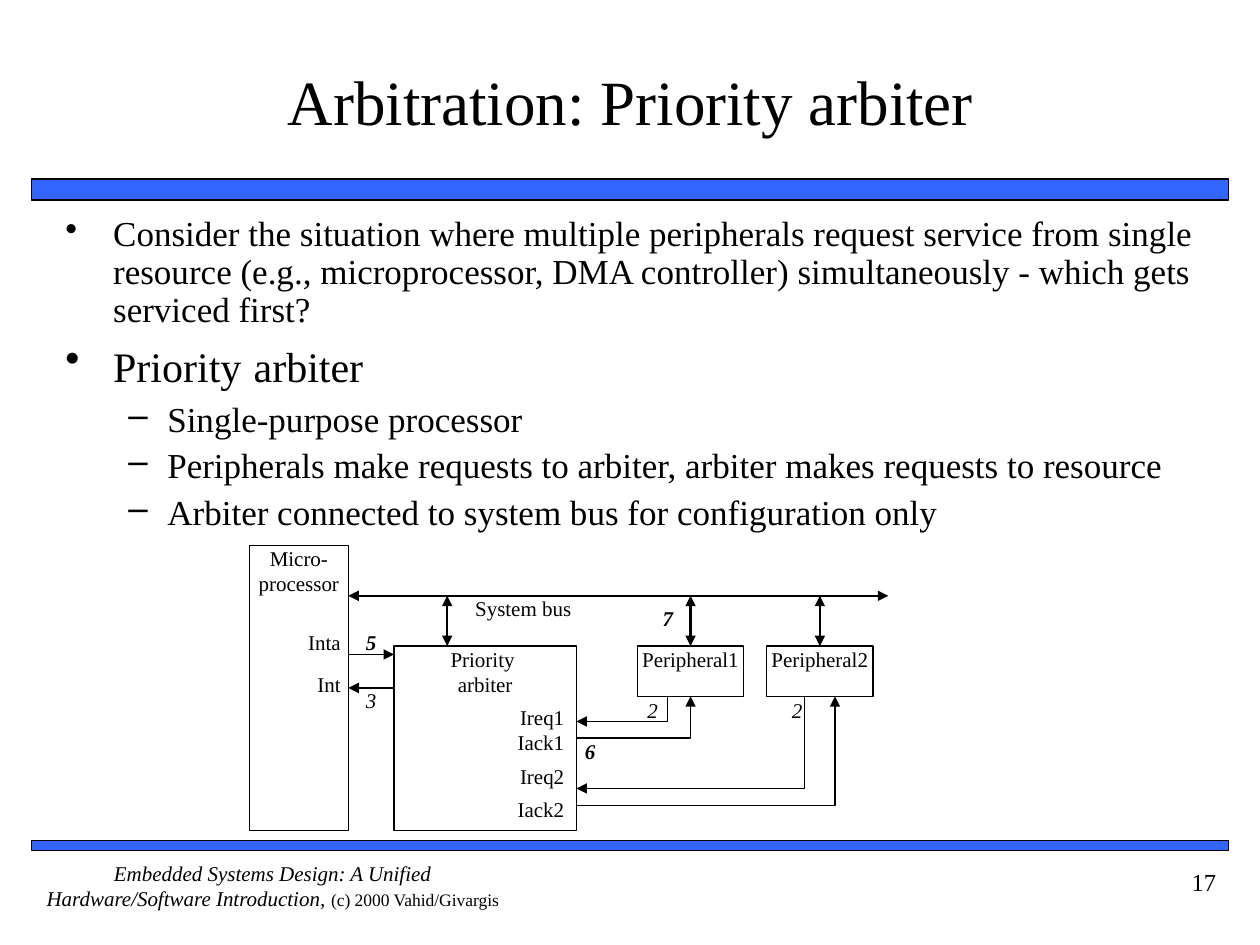
from lxml.etree import SubElement
from pptx import Presentation
from pptx.dml.color import RGBColor
from pptx.enum.shapes import MSO_CONNECTOR, MSO_SHAPE
from pptx.enum.text import MSO_ANCHOR, PP_ALIGN
from pptx.oxml.ns import qn
from pptx.util import Inches, Pt

BLACK = RGBColor(0x00, 0x00, 0x00)
WHITE = RGBColor(0xFF, 0xFF, 0xFF)
BLUE = RGBColor(0x33, 0x66, 0xFF)
CENTER, RIGHT, LEFT = PP_ALIGN.CENTER, PP_ALIGN.RIGHT, PP_ALIGN.LEFT


def write(frame, *paragraphs, size=12, align=CENTER, bold=False, italic=False,
          anchor=MSO_ANCHOR.TOP, inset=(0, 0), bullets=None, spacing=None, before=None):
    """Each paragraph is a string or a list of (text, size, italic) runs."""
    frame.word_wrap = True
    frame.vertical_anchor = anchor
    frame.margin_left = frame.margin_right = Inches(inset[0])
    frame.margin_top = frame.margin_bottom = Inches(inset[1])
    for index, content in enumerate(paragraphs):
        paragraph = frame.paragraphs[0] if index == 0 else frame.add_paragraph()
        if bullets:
            mark, left, hanging = bullets[index]
            properties = paragraph._p.get_or_add_pPr()
            properties.set("marL", str(Inches(left)))
            properties.set("indent", str(-Inches(hanging)))
            SubElement(properties, qn("a:buChar")).set("char", mark)
        paragraph.alignment = align
        if spacing:
            paragraph.line_spacing = spacing
        if before and index:
            paragraph.space_before = Pt(before[index])
        runs = [(content, size, italic)] if isinstance(content, str) else content
        for text, run_size, run_italic in runs:
            run = paragraph.add_run()
            run.text = text
            run.font.name = "Times New Roman"
            run.font.size = Pt(run_size)
            run.font.bold = bold
            run.font.italic = run_italic
            run.font.color.rgb = BLACK


def draw_arrow(arrow, width, ends):
    arrow.line.color.rgb = BLACK
    arrow.line.width = Pt(width)
    for end in ends:
        SubElement(arrow.line._ln, qn(f"a:{end}")).set("type", "triangle")
    if arrow._element.spPr.find(qn("a:effectLst")) is None:
        SubElement(arrow._element.spPr, qn("a:effectLst"))


deck = Presentation()
deck.slide_width, deck.slide_height = Inches(10), Inches(7.5)
slide = deck.slides.add_slide(deck.slide_layouts[5])
shapes = slide.shapes

# Blue rules above and below the content
for top, height in ((1.42, 0.17), (6.67, 0.08)):
    rule = shapes.add_shape(MSO_SHAPE.RECTANGLE, Inches(0.25), Inches(top),
                            Inches(9.5), Inches(height))
    rule.shadow.inherit = False
    rule.fill.solid()
    rule.fill.fore_color.rgb = BLUE
    rule.line.color.rgb = BLACK
    rule.line.width = Pt(1)

# Title
title = shapes.title
title.left, title.top = Inches(0.42), Inches(0.17)
title.width, title.height = Inches(9.17), Inches(1.25)
write(title.text_frame, "Arbitration: Priority arbiter", size=36,
      anchor=MSO_ANCHOR.MIDDLE, inset=(0, 0.05))

# Bulleted points
points = shapes.add_textbox(Inches(0.42), Inches(1.67), Inches(9.17), Inches(2.63))
main, detail = ("•", 0.38, 0.38), ("–", 0.81, 0.31)
write(points.text_frame,
      "Consider the situation where multiple peripherals request service from single "
      "resource (e.g., microprocessor, DMA controller) simultaneously - which gets "
      "serviced first?",
      [("Priority", 24, False), (" ", 28, False), ("arbiter", 24, False)],
      "Single-purpose processor",
      "Peripherals make requests to arbiter, arbiter makes requests to resource",
      "Arbiter connected to system bus for configuration only",
      size=20, align=LEFT, inset=(0.1, 0.05), spacing=0.9,
      bullets=[main, main, detail, detail, detail], before=[0, 6, 5, 5, 5])

# Diagram grid: 42 columns by 17 rows
GRID_LEFT, GRID_TOP = Inches(1.98), Inches(4.33)
COLUMN, ROW = Inches(5.07) / 42, Inches(2.26) / 17

# Blocks: column, row, columns wide, rows high, lines of text
for column, row, columns, rows, lines in (
        (0, 0, 6.5, 17, ["Micro-processor"]),
        (9.5, 6, 12, 11, ["Priority ", "arbiter"]),
        (25.5, 6, 7, 3, ["Peripheral1"]),
        (34, 6, 7, 3, ["Peripheral2"])):
    block = shapes.add_shape(
        MSO_SHAPE.RECTANGLE, int(GRID_LEFT + column * COLUMN), int(GRID_TOP + row * ROW),
        int(columns * COLUMN), int(rows * ROW))
    block.shadow.inherit = False
    block.fill.solid()
    block.fill.fore_color.rgb = WHITE
    block.line.color.rgb = BLACK
    block.line.width = Pt(0.75)
    write(block.text_frame, *lines)

# System bus with its taps, then the interrupt lines
both, tip = ("headEnd", "tailEnd"), ("tailEnd",)
for x1, y1, x2, y2, width, ends in (
        (6.5, 3, 42, 3, 1.25, both),
        (13, 3, 13, 6, 1.25, both),
        (29, 3, 29, 6, 1.25, both),
        (37.5, 3, 37.5, 6, 1.25, both),
        (6.5, 6.5, 9.5, 6.5, 0.75, tip),
        (9.5, 8.5, 6.5, 8.5, 0.75, tip)):
    wire = shapes.add_connector(
        MSO_CONNECTOR.STRAIGHT, int(GRID_LEFT + x1 * COLUMN), int(GRID_TOP + y1 * ROW),
        int(GRID_LEFT + x2 * COLUMN), int(GRID_TOP + y2 * ROW))
    draw_arrow(wire, width, ends)

# Request and acknowledge paths with one bend each
for route in (
        [(27.5, 9), (27.5, 10.5), (21.5, 10.5)],
        [(21.5, 11.5), (29, 11.5), (29, 9)],
        [(36.5, 9), (36.5, 14.5), (21.5, 14.5)],
        [(21.5, 15.5), (38.5, 15.5), (38.5, 9)]):
    start, *bends = [(int(GRID_LEFT + x * COLUMN), int(GRID_TOP + y * ROW)) for x, y in route]
    builder = shapes.build_freeform(*start)
    builder.add_line_segments(bends, close=False)
    signal = builder.convert_to_shape()
    signal.fill.background()
    draw_arrow(signal, 0.75, tip)

# Labels: text, column, row, columns wide, format
port, step = {"align": RIGHT}, {"italic": True}
key_step = {"italic": True, "bold": True}
for text, column, row, columns, style in (
        ("System bus", 12.5, 3, 11, {}),
        ("Inta", 3.5, 5, 2.5, port),
        ("Int", 3.5, 7.5, 2.5, port),
        ("Ireq1", 16.7, 9.5, 4, port),
        ("Iack1", 16.7, 11, 4, port),
        ("Ireq2", 16.7, 13, 4, port),
        ("Iack2", 16.7, 15, 4, port),
        ("2", 26, 9.1, 1, step),
        ("2", 35.5, 9.1, 1, step),
        ("3", 7.5, 8.5, 1, step),
        ("5", 7.5, 5, 1, key_step),
        ("6", 21.9, 11.5, 1, key_step),
        ("7", 27, 3.6, 1, key_step)):
    label = shapes.add_textbox(
        int(GRID_LEFT + column * COLUMN), int(GRID_TOP + row * ROW),
        int(columns * COLUMN), int(1.5 * ROW))
    write(label.text_frame, text, **style)

# Footer and page number
footer = shapes.add_textbox(Inches(0.25), Inches(6.83), Inches(3.83), Inches(0.5))
write(footer.text_frame,
      [("Embedded Systems Design: A Unified Hardware/Software Introduction, ", 12, True),
       ("(c) 2000 Vahid/Givargis", 10, False)])
page = shapes.add_textbox(Inches(8.75), Inches(6.83), Inches(1), Inches(0.5))
write(page.text_frame, "17", size=14, align=RIGHT, inset=(0.1, 0.05))

deck.save("out.pptx")
